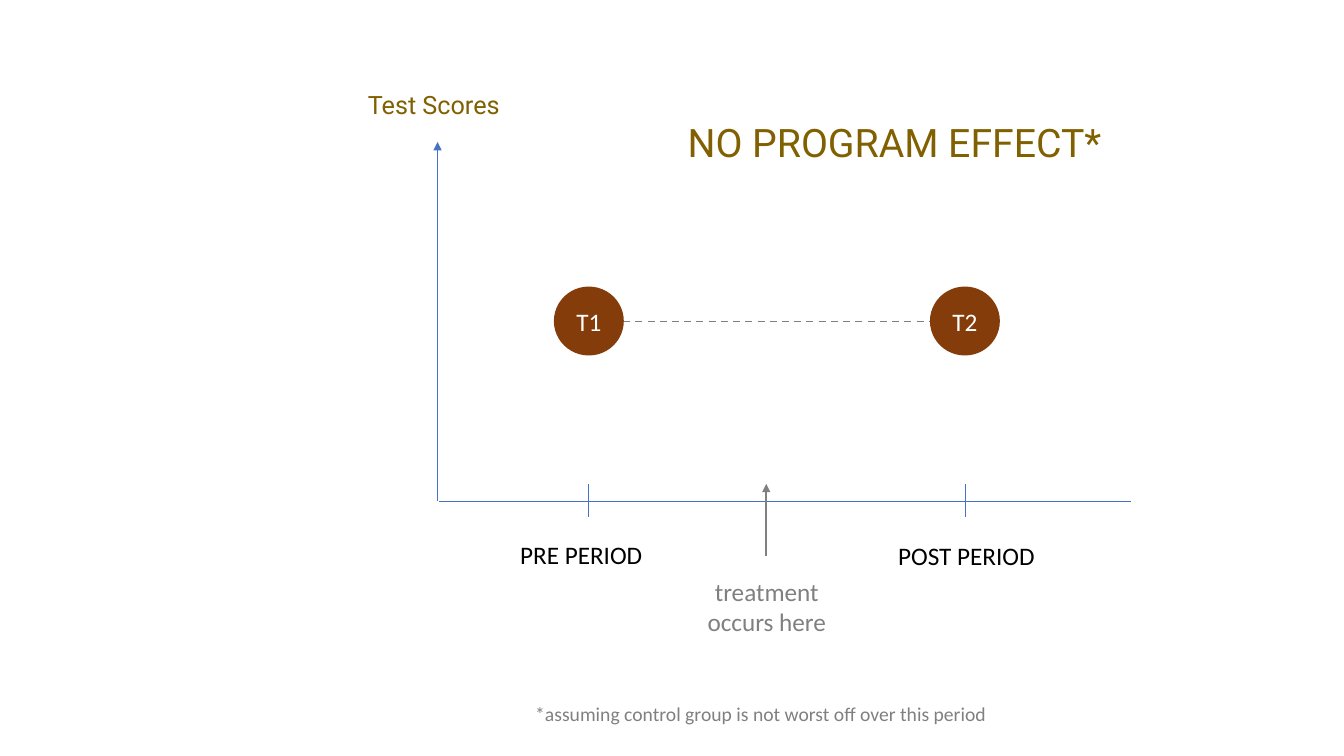
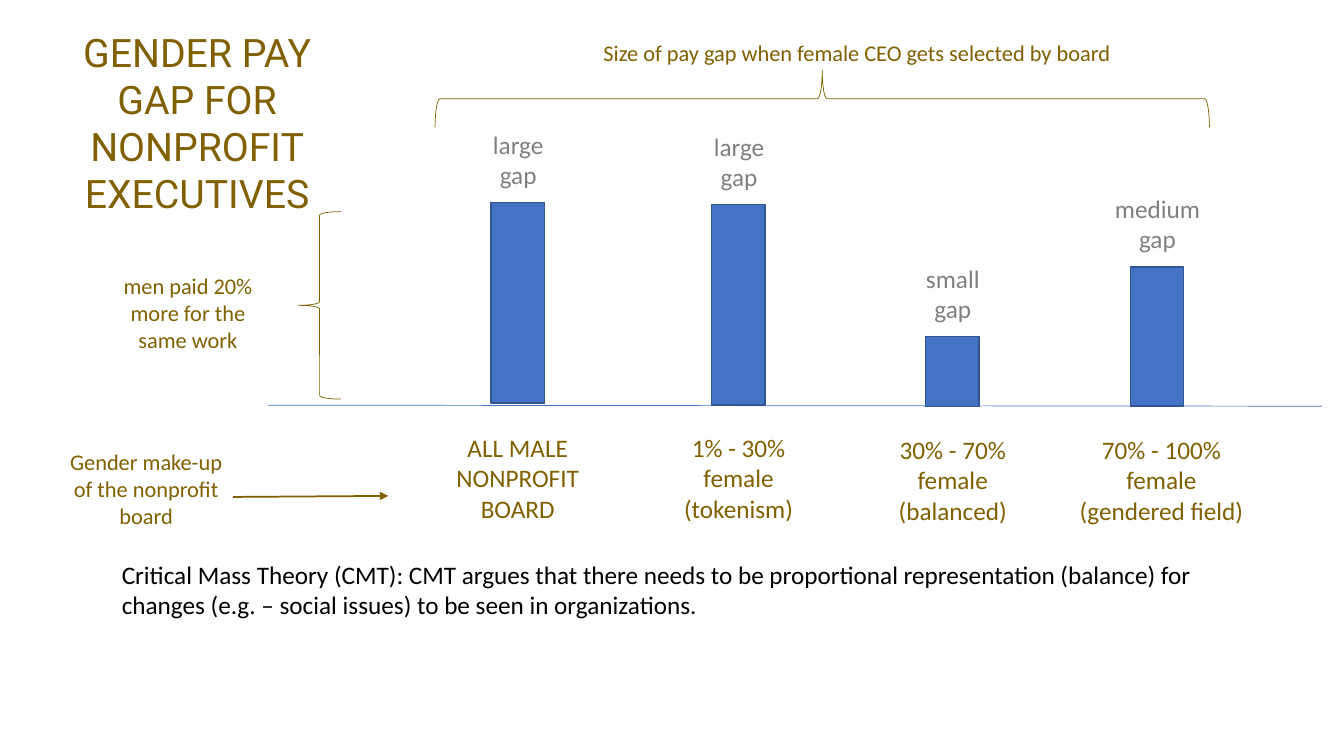
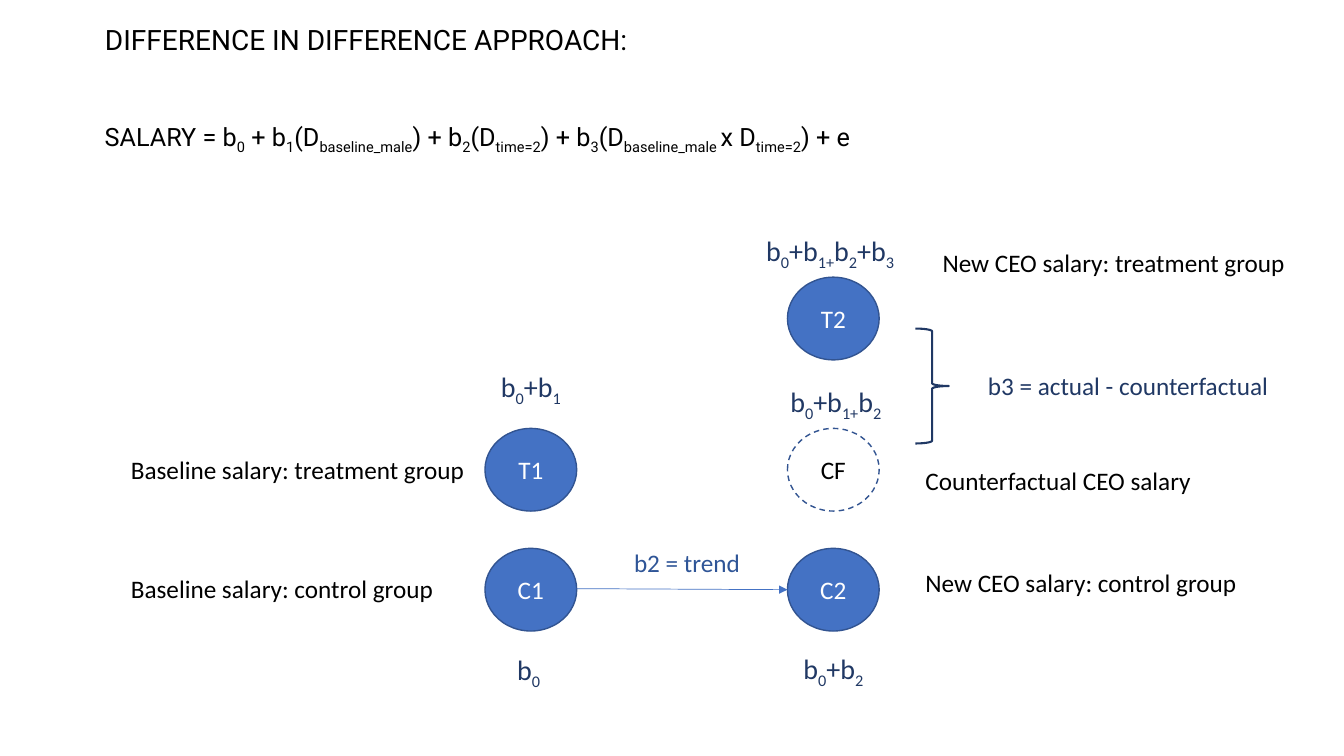
from lxml.etree import SubElement
from pptx import Presentation
from pptx.dml.color import RGBColor
from pptx.enum.dml import MSO_LINE
from pptx.enum.shapes import MSO_CONNECTOR, MSO_SHAPE
from pptx.enum.text import MSO_ANCHOR, MSO_AUTO_SIZE, PP_ALIGN
from pptx.oxml.ns import qn
from pptx.util import Inches, Pt

BLUE = RGBColor(0x44, 0x72, 0xC4)
EDGE = RGBColor(0x32, 0x54, 0x91)
TREND = RGBColor(0x2F, 0x55, 0x97)
NAVY = RGBColor(0x20, 0x38, 0x64)
GOLD = RGBColor(0x80, 0x60, 0x00)
BROWN = RGBColor(0x84, 0x3C, 0x0B)
GRAY = RGBColor(0x80, 0x80, 0x80)
BLACK = RGBColor(0, 0, 0)
WHITE = RGBColor(255, 255, 255)
LEFT, CENTER = PP_ALIGN.LEFT, PP_ALIGN.CENTER


def write(sp, text, box=None, size=18, color=BLACK, font="Calibri",
          align=LEFT, anchor=MSO_ANCHOR.TOP, wrap=True):
    if box:
        sp.left, sp.top, sp.width, sp.height = map(Inches, box)
    tf = sp.text_frame
    tf.auto_size = MSO_AUTO_SIZE.NONE
    tf.word_wrap = wrap
    tf.vertical_anchor = anchor
    for i, line in enumerate(text.split("\n")):
        p = tf.add_paragraph() if i else tf.paragraphs[0]
        p.alignment = align
        for j, part in enumerate(line.split("|")):
            if not part:
                continue
            r = p.add_run()
            r.text = part
            r.font.size = Pt(size)
            r.font.name = font
            r.font.color.rgb = color
            if j % 2:
                r.font._element.set("baseline", "-25000")


def connect(s, x1, y1, x2, y2, color=BLUE, width=0.5, arrow=False, dash=False):
    c = s.shapes.add_connector(MSO_CONNECTOR.STRAIGHT, *map(Inches, (x1, y1, x2, y2)))
    c.line.color.rgb = color
    c.line.width = Pt(width)
    if dash:
        c.line.dash_style = MSO_LINE.DASH
    spPr = c._element.spPr
    if arrow:
        SubElement(spPr.find(qn("a:ln")), qn("a:tailEnd"), type="triangle")
    SubElement(spPr, qn("a:effectLst"))


prs = Presentation()
prs.slide_width, prs.slide_height = Inches(13.33), Inches(7.5)
slides = []
for title, box, size, color, align in [
    ("NO PROGRAM EFFECT*", (6.72, 1.12, 4.49, 0.57), 28, GOLD, LEFT),
    ("GENDER PAY GAP FOR NONPROFIT\nEXECUTIVES", (0.34, 0.23, 3.23, 1.97), 28, GOLD, CENTER),
    ("DIFFERENCE IN DIFFERENCE APPROACH:", (0.94, 0.17, 11.85, 0.44), 20, BLACK, LEFT),
]:
    s = prs.slides.add_slide(prs.slide_layouts[5])
    write(s.shapes.title, title, box, size, color, "Roboto", align)
    slides.append(s)
effect, gap, approach = slides

s = effect
connect(s, 4.34, 4.97, 4.34, 1.41, arrow=True)
connect(s, 4.35, 4.97, 11.22, 4.97)
connect(s, 7.6, 5.52, 7.6, 4.8, GRAY, 1.25, arrow=True)
connect(s, 6.18, 3.19, 9.23, 3.19, GRAY, 1.25, dash=True)
for name, x in [("T1", 5.84), ("T2", 9.57)]:
    connect(s, x, 4.8, x, 5.13)
    sp = s.shapes.add_shape(MSO_SHAPE.OVAL, *map(Inches, (x - 0.34, 2.85, 0.68, 0.67)))
    sp.shadow.inherit = False
    sp.fill.solid()
    sp.fill.fore_color.rgb = BROWN
    sp.line.color.rgb = BROWN
    sp.line.width = Pt(1)
    write(sp, name, color=WHITE, align=CENTER, anchor=MSO_ANCHOR.MIDDLE)
for text, box, size, color, font, align in [
    ("PRE PERIOD", (5.06, 5.3, 1.42, 0.4), 18, BLACK, "Calibri", LEFT),
    ("POST PERIOD", (8.81, 5.31, 1.57, 0.4), 18, BLACK, "Calibri", LEFT),
    ("treatment\noccurs here", (6.91, 5.67, 1.39, 0.71), 18, GRAY, "Calibri", CENTER),
    ("Test Scores", (3.55, 0.84, 1.62, 0.4), 18, GOLD, "Roboto", LEFT),
    ("*assuming control group is not worst off over this period",
     (5.21, 6.91, 4.72, 0.34), 14, GRAY, "Calibri", LEFT),
]:
    write(s.shapes.add_textbox(0, 0, 0, 0), text, box, size, color, font, align, wrap=False)

s = gap
connect(s, 2.66, 4.02, 13.11, 4.03)
connect(s, 2.31, 4.93, 3.85, 4.92, GOLD, 1.25, arrow=True)
for x, top, height, amount, board, label_x, label_y, label_w in [
    (4.87, 2.01, 1.99, "large", "ALL MALE NONPROFIT BOARD", 4.41, 4.24, 1.45),
    (7.06, 2.03, 1.99, "large", "1% - 30% female\n(tokenism)", 6.6, 4.24, 1.45),
    (9.18, 3.34, 0.69, "small", "30% - 70% female\n(balanced)", 8.52, 4.26, 1.86),
    (11.21, 2.65, 1.38, "medium", "70% - 100% female\n(gendered field)", 10.59, 4.26, 1.86),
]:
    sp = s.shapes.add_shape(MSO_SHAPE.RECTANGLE, *map(Inches, (x, top, 0.53, height)))
    sp.shadow.inherit = False
    sp.fill.solid()
    sp.fill.fore_color.rgb = BLUE
    sp.line.color.rgb = EDGE
    sp.line.width = Pt(1)
    write(s.shapes.add_textbox(0, 0, 0, 0), amount + "\ngap",
          (x - 0.26, top - 0.78, 1.06, 0.71), color=GRAY, align=CENTER, wrap=False)
    write(s.shapes.add_textbox(0, 0, 0, 0), board,
          (label_x, label_y, label_w, 1.01), color=GOLD, align=CENTER)
for text, box, wrap in [
    ("men paid 20% more for the same work", (1.08, 2.65, 1.57, 0.91), True),
    ("Gender make-up of the nonprofit board", (0.52, 4.4, 1.86, 0.91), True),
    ("Size of pay gap when female CEO gets selected by board", (5.85, 0.34, 5.3, 0.37), False),
]:
    write(s.shapes.add_textbox(0, 0, 0, 0), text, box, 16, GOLD, align=CENTER, wrap=wrap)
write(s.shapes.add_textbox(0, 0, 0, 0),
      "Critical Mass Theory (CMT): CMT argues that there needs to be proportional "
      "representation (balance) for changes (e.g. – social issues) to be seen in organizations.",
      (1.11, 5.5, 11.07, 1.01))

s = approach
write(s.shapes.add_textbox(0, 0, 0, 0),
      "SALARY = b|0| + b|1|(D|baseline_male|) + b|2|(D|time=2|) + b|3|"
      "(D|baseline_male |x D|time=2|) + e",
      (0.94, 1.15, 11.85, 0.4), font="Roboto")
for name, x, y in [("C1", 4.81, 5.44), ("T1", 4.81, 4.25), ("C2", 7.81, 5.44),
                   ("T2", 7.81, 2.75), ("CF", 7.81, 4.25)]:
    sp = s.shapes.add_shape(MSO_SHAPE.OVAL, *map(Inches, (x, y, 0.91, 0.82)))
    sp.shadow.inherit = False
    sp.line.color.rgb = EDGE
    sp.line.width = Pt(1)
    if name == "CF":
        sp.fill.background()
        sp.line.dash_style = MSO_LINE.DASH
    else:
        sp.fill.solid()
        sp.fill.fore_color.rgb = BLUE
    write(sp, name, color=BLACK if name == "CF" else WHITE,
          align=CENTER, anchor=MSO_ANCHOR.MIDDLE)
connect(s, 5.72, 5.84, 7.81, 5.85, arrow=True)
for text, x, y, width in [
    ("b|0|", 5.03, 6.42, 0.44),
    ("b|0|+b|1|", 4.87, 3.62, 1.21),
    ("b|0|+b|2|", 7.87, 6.41, 1.21),
    ("b|0|+b|1+|b|2|+b|3|", 7.5, 2.27, 1.96),
    ("b|0|+b|1+|b|2|", 7.74, 3.77, 1.96),
]:
    write(s.shapes.add_textbox(0, 0, 0, 0), text, (x, y, width, 0.44), 20, NAVY)
for text, x, y, width, color in [
    ("Baseline salary: control group", 1.2, 5.64, 3.23, BLACK),
    ("Baseline salary: treatment group", 1.2, 4.46, 3.54, BLACK),
    ("New CEO salary: control group", 9.08, 5.58, 3.32, BLACK),
    ("New CEO salary: treatment group", 9.25, 2.4, 3.63, BLACK),
    ("Counterfactual CEO salary", 9.08, 4.57, 2.86, BLACK),
    ("b2 = trend", 6.19, 5.38, 1.27, TREND),
    ("b3 = actual - counterfactual", 9.7, 3.62, 3.02, NAVY),
]:
    write(s.shapes.add_textbox(0, 0, 0, 0), text, (x, y, width, 0.4), color=color, wrap=False)

for s, kind, box, turn, color, width in [
    (gap, MSO_SHAPE.LEFT_BRACE, (2.96, 2.1, 0.42, 1.86), 0, GOLD, 0.5),
    (gap, MSO_SHAPE.LEFT_BRACE, (7.87, -2.86, 0.57, 7.68), 90, GOLD, 0.5),
    (approach, MSO_SHAPE.RIGHT_BRACE, (9.08, 3.26, 0.33, 1.14), 0, NAVY, 1.5),
]:
    sp = s.shapes.add_shape(kind, *map(Inches, box))
    sp.shadow.inherit = False
    sp.rotation = turn
    sp.fill.background()
    sp.line.color.rgb = color
    sp.line.width = Pt(width)

prs.save("out.pptx")
